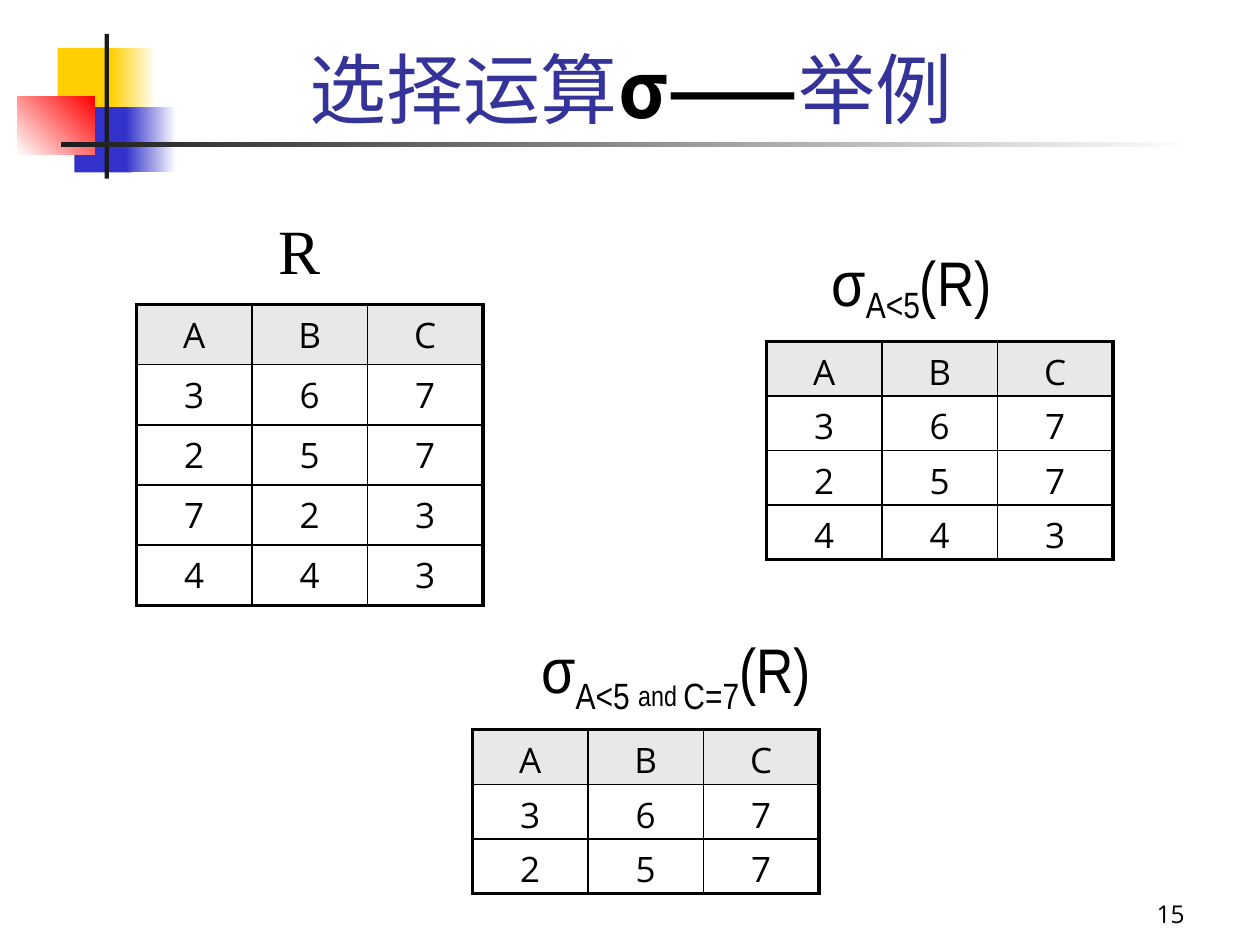
"""Build the slide of selection operation examples."""
from lxml import etree
from pptx import Presentation
from pptx.dml.color import RGBColor
from pptx.enum.shapes import MSO_SHAPE
from pptx.enum.text import MSO_ANCHOR, PP_ALIGN
from pptx.oxml.ns import qn
from pptx.util import Pt

RECT = MSO_SHAPE.RECTANGLE
TOP, MIDDLE, BOTTOM = MSO_ANCHOR.TOP, MSO_ANCHOR.MIDDLE, MSO_ANCHOR.BOTTOM
CENTER, RIGHT = PP_ALIGN.CENTER, PP_ALIGN.RIGHT

COLORS = {
    "yellow": "FFCF01", "blue": "3333CC", "red": "FF0000", "dark": "1C1C1C",
    "white": "FFFFFF", "black": "000000", "title": "333399", "header": "E8E8E8",
}
CJK, SANS, SERIF, NARROW = "Noto Sans CJK SC", "Open Sans", "Times New Roman", "Arial Narrow"

DECOR = [
    ((33, 27.4, 34.6, 37.4), ("yellow",), 0),
    ((63.4, 27.4, 25.9, 37.4), ("yellow", "white"), 0),
    ((42.5, 61.2, 33.1, 37.4), ("blue",), 0),
    ((72, 61.2, 28.8, 37.4), ("blue", "white"), 0),
    ((10, 55.2, 44, 33.4), ("white", "red"), 45),
    ((59.8, 19.3, 2.4, 82.8), ("dark",), 0),
    ((34.8, 81.4, 648, 2.5), ("dark", "white"), 0),
]
TITLE = [("选择运算", "title", False), ("σ——", "black", True), ("举例", "title", False)]
LABELS = [
    ((138, 114, 66, 50.4), SERIF, [("R", 36, 0)]),
    ((462, 132, 126, 50.4), NARROW, [("σ", 36, 0), ("A<5", 36, -20), ("(R) ", 36, 0)]),
    ((270, 353.5, 241, 51), NARROW,
     [("σ", 36, 0), ("A<5 ", 36, -25), ("and ", 28, -25), ("C=7", 36, -25), ("(R) ", 36, 0)]),
]
TABLES = [
    ((78, 174), 34.4, 3.6, ["ABC", "367", "257", "723", "443"]),
    ((438, 195), 31.2, 0, ["ABC", "367", "257", "443"]),
    ((270, 417), 31.2, 0, ["ABC", "367", "257"]),
]
COL_W, THICK, THIN = 66, 2.25, 1


def rgb(name):
    return RGBColor.from_string(COLORS[name])


def set_font(font, name, size, color="black"):
    font.name, font.size = name, Pt(size)
    font.color.rgb = rgb(color)


def add_decor(s, box, colors, angle):
    sp = s.shapes.add_shape(RECT, *map(Pt, box))
    sp.shadow.inherit = False
    sp.line.fill.background()
    if len(colors) == 1:
        sp.fill.solid()
        sp.fill.fore_color.rgb = rgb(colors[0])
        return
    sp.fill.gradient()
    sp.fill.gradient_angle = angle
    for stop, color in zip(sp.fill.gradient_stops, colors):
        stop.color.rgb = rgb(color)


def add_text(s, box, align, anchor, name, runs, top=3.6):
    tf = s.shapes.add_textbox(*map(Pt, box)).text_frame
    tf.word_wrap, tf.vertical_anchor, tf.margin_top = True, anchor, Pt(top)
    p = tf.paragraphs[0]
    p.alignment = align
    for text, size, base in runs:
        r = p.add_run()
        r.text = text
        set_font(r.font, name, size)
        if base:
            r.font._element.set("baseline", str(base * 1000))


def set_borders(cell, widths):
    tcPr = cell._tc.get_or_add_tcPr()
    for i, (side, width) in enumerate(zip("LRTB", widths)):
        ln = etree.Element(qn("a:ln" + side), w=str(Pt(width)))
        fill = etree.SubElement(ln, qn("a:solidFill"))
        etree.SubElement(fill, qn("a:srgbClr"), val=COLORS["black"])
        tcPr.insert(i, ln)


def add_grid(s, pos, row_h, bottom, rows):
    n, m = len(rows), len(rows[0])
    frame = s.shapes.add_table(n, m, *map(Pt, (*pos, COL_W * m, row_h * n)))
    table = frame.table
    table.first_row = table.horz_banding = False
    for i, row in enumerate(rows):
        table.rows[i].height = Pt(row_h)
        for j, text in enumerate(row):
            cell = table.cell(i, j)
            cell.text = text
            cell.vertical_anchor, cell.margin_bottom = MIDDLE, Pt(bottom)
            p = cell.text_frame.paragraphs[0]
            p.alignment = CENTER
            set_font(p.font, SANS, 20)
            if i == 0:
                cell.fill.solid()
                cell.fill.fore_color.rgb = rgb("header")
            else:
                cell.fill.background()
            outer = (j == 0, j == m - 1, i == 0, i == n - 1)
            set_borders(cell, [THICK if edge else THIN for edge in outer])


prs = Presentation()
prs.slide_width, prs.slide_height = Pt(720), Pt(540)
s = prs.slides.add_slide(prs.slide_layouts[5])

for box, colors, angle in DECOR:
    add_decor(s, box, colors, angle)

title = s.shapes.title
title.left, title.top, title.width, title.height = map(Pt, (54, 18, 613.5, 62))
tf = title.text_frame
tf.vertical_anchor = BOTTOM
p = tf.paragraphs[0]
p.alignment = CENTER
for text, color, bold in TITLE:
    r = p.add_run()
    r.text = text
    set_font(r.font, CJK, 44, color)
    r.font.bold = bold
    ea = etree.Element(qn("a:ea"), typeface=CJK)
    r.font._element.find(qn("a:latin")).addnext(ea)

for box, name, runs in LABELS:
    add_text(s, box, CENTER, TOP, name, runs, top=7)
for pos, row_h, bottom, rows in TABLES:
    add_grid(s, pos, row_h, bottom, rows)
add_text(s, (534, 498, 150, 36), RIGHT, BOTTOM, SANS, [("15", 14, 0)])

prs.save("out.pptx")
